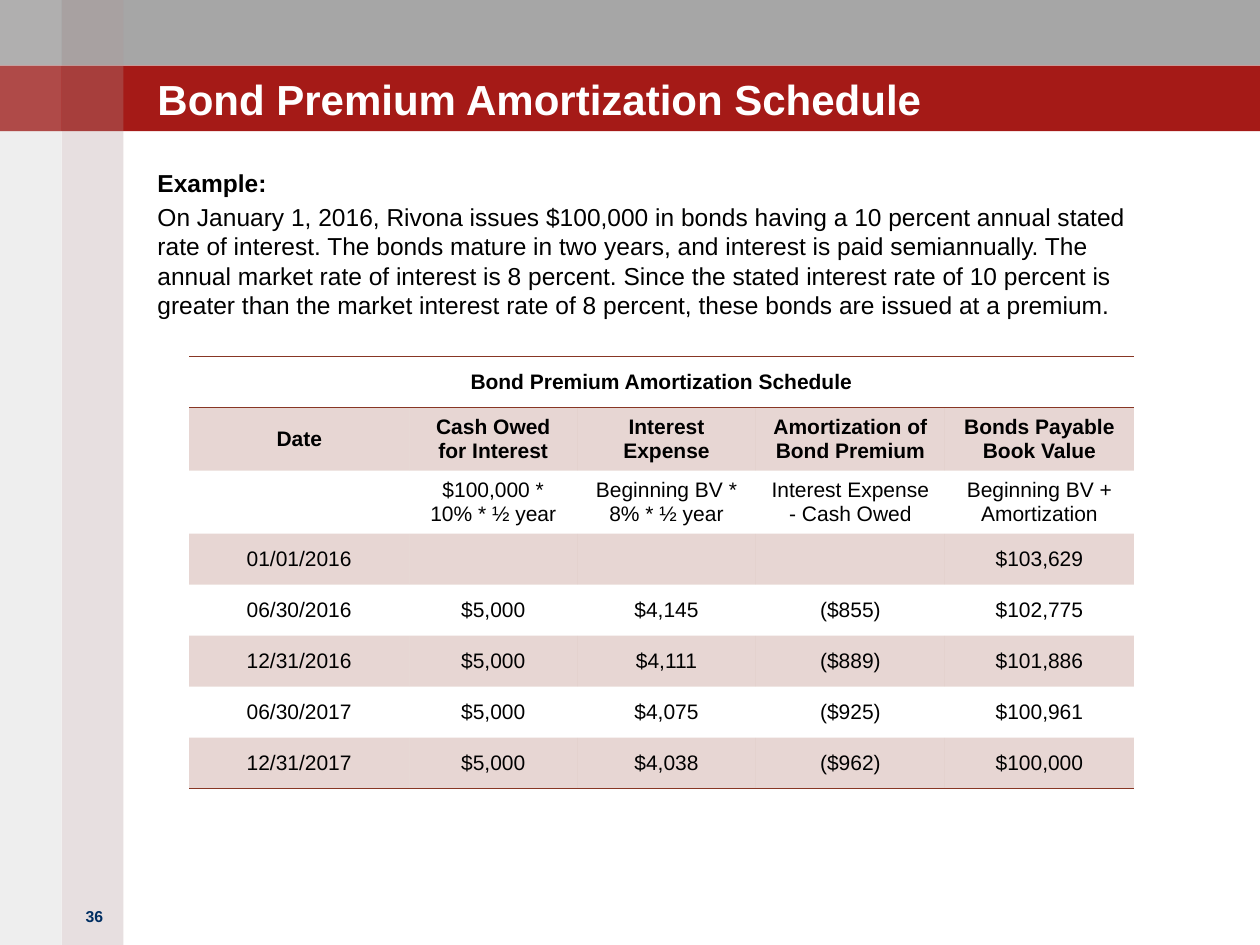
from dataclasses import dataclass

from lxml import etree
from pptx import Presentation
from pptx.dml.color import RGBColor
from pptx.enum.shapes import MSO_SHAPE
from pptx.enum.text import MSO_ANCHOR, PP_ALIGN
from pptx.oxml.ns import qn
from pptx.util import Inches, Pt

RECTANGLE = MSO_SHAPE.RECTANGLE
TOP, MIDDLE, BOTTOM = MSO_ANCHOR.TOP, MSO_ANCHOR.MIDDLE, MSO_ANCHOR.BOTTOM
LEFT, CENTER = PP_ALIGN.LEFT, PP_ALIGN.CENTER
PLAIN_TABLE_STYLE = "{2D5ABB26-0587-4C30-8999-92F81FD0307C}"


@dataclass(frozen=True)
class Theme:
    font: str = "Arial"
    gray: str = "A6A6A6"
    red: str = "A51A17"
    rose: str = "A08284"
    taupe: str = "938F8F"
    white: str = "FFFFFF"
    black: str = "000000"
    navy: str = "002E62"
    brown: str = "873624"
    title_size: int = 24
    body_size: int = 14
    table_size: int = 12
    number_size: int = 9


THEME = Theme()

BAND_HEIGHT = 0.52
STRIPE_WIDTH = 0.49
TITLE = "Bond Premium Amortization Schedule"
EXAMPLE = (
    "On January 1, 2016, Rivona issues $100,000 in bonds having a 10 percent "
    "annual stated rate of interest. The bonds mature in two years, and interest "
    "is paid semiannually. The annual market rate of interest is 8 percent. Since "
    "the stated interest rate of 10 percent is greater than the market interest "
    "rate of 8 percent, these bonds are issued at a premium."
)
SCHEDULE = [
    [TITLE, "", "", "", ""],
    ["Date", "Cash Owed for Interest", "Interest Expense",
     "Amortization of Bond Premium", "Bonds Payable Book Value"],
    ["", "$100,000 * 10% * ½ year", "Beginning BV * 8% * ½ year",
     "Interest Expense - Cash Owed", "Beginning BV + Amortization"],
    ["01/01/2016", "", "", "", "$103,629"],
    ["06/30/2016", "$5,000", "$4,145", "($855)", "$102,775"],
    ["12/31/2016", "$5,000", "$4,111", "($889)", "$101,886"],
    ["06/30/2017", "$5,000", "$4,075", "($925)", "$100,961"],
    ["12/31/2017", "$5,000", "$4,038", "($962)", "$100,000"],
]
COLUMN_WIDTHS = [1.75, 1.33, 1.42, 1.5, 1.5]
SCHEDULE_HEIGHT = 3.24
HEADING_ROWS = 2


def set_fill(fill, color, opacity=100):
    fill.solid()
    fill.fore_color.rgb = RGBColor.from_string(color)
    if opacity < 100:
        color_element = fill._xPr.find(qn("a:solidFill"))[0]
        etree.SubElement(color_element, qn("a:alpha"), val=str(opacity * 1000))


def add_block(slide, left, top, width, height, color, opacity=100):
    block = slide.shapes.add_shape(
        RECTANGLE, Inches(left), Inches(top), Inches(width), Inches(height))
    set_fill(block.fill, color, opacity)
    block.line.fill.background()
    block.shadow.inherit = False


def format_paragraph(paragraph, size, color, bold, align=LEFT):
    paragraph.alignment = align
    for run in paragraph.runs:
        run.font.name = THEME.font
        run.font.size = Pt(size)
        run.font.bold = bold
        run.font.color.rgb = RGBColor.from_string(color)


def add_text_frame(slide, left, top, width, height, text, anchor=TOP, inset=True):
    box = slide.shapes.add_textbox(
        Inches(left), Inches(top), Inches(width), Inches(height))
    frame = box.text_frame
    frame.word_wrap = True
    frame.vertical_anchor = anchor
    if not inset:
        frame.margin_left = frame.margin_right = 0
        frame.margin_top = frame.margin_bottom = 0
    frame.text = text
    return frame


def add_background(slide):
    """Two bands across the top, crossed by two translucent side stripes."""
    add_block(slide, 0, 0, 10, BAND_HEIGHT, THEME.gray)
    add_block(slide, 0, BAND_HEIGHT, 10, BAND_HEIGHT, THEME.red)
    stripes = [(STRIPE_WIDTH, THEME.rose, 25, 5), (0, THEME.taupe, 15, 15)]
    for left, color, opacity, _ in stripes:
        add_block(slide, left, 0, STRIPE_WIDTH, 7.5, color, opacity)
    for top in (0, BAND_HEIGHT):
        for left, _, _, highlight in stripes:
            add_block(slide, left, top, STRIPE_WIDTH, BAND_HEIGHT,
                      THEME.white, highlight)


def add_border(cell, side):
    """Rule one side of a cell: lnT or lnB. Call before filling the cell."""
    line = etree.SubElement(
        cell._tc.get_or_add_tcPr(), qn(f"a:{side}"), w=str(Pt(1)))
    fill = etree.SubElement(line, qn("a:solidFill"))
    etree.SubElement(fill, qn("a:srgbClr"), val=THEME.brown)


def add_schedule(slide):
    row_count = len(SCHEDULE)
    frame = slide.shapes.add_table(
        row_count, len(COLUMN_WIDTHS), Inches(1.5), Inches(2.83),
        Inches(sum(COLUMN_WIDTHS)), Inches(SCHEDULE_HEIGHT))
    schedule = frame.table
    schedule.first_row = schedule.horz_banding = False
    schedule._tbl.tblPr.find(qn("a:tableStyleId")).text = PLAIN_TABLE_STYLE
    for column, width in zip(schedule.columns, COLUMN_WIDTHS):
        column.width = Inches(width)
    for row_index, values in enumerate(SCHEDULE):
        for column_index, value in enumerate(values):
            cell = schedule.cell(row_index, column_index)
            cell.text = value
            cell.vertical_anchor = MIDDLE
            format_paragraph(cell.text_frame.paragraphs[0], THEME.table_size,
                             THEME.black, row_index < HEADING_ROWS, CENTER)
            if row_index == 0:
                add_border(cell, "lnT")
            if row_index in (0, row_count - 1):
                add_border(cell, "lnB")
            if row_index % 2:
                set_fill(cell.fill, THEME.brown, 20)
            else:
                cell.fill.background()
    schedule.cell(0, 0).merge(schedule.cell(0, len(COLUMN_WIDTHS) - 1))


def add_title(slide):
    title = add_text_frame(slide, 1.25, 0.31, 7.83, 0.67, TITLE, BOTTOM, inset=False)
    format_paragraph(title.paragraphs[0], THEME.title_size, THEME.white, True)


def add_example(slide):
    example = add_text_frame(
        slide, 1.25, 1.33, 8, 5.25, f"Example:\n{EXAMPLE}", inset=False)
    for paragraph, bold in zip(example.paragraphs, (True, False)):
        format_paragraph(paragraph, THEME.body_size, THEME.black, bold)
        paragraph.space_before = Pt(0.2 * THEME.body_size)


def add_page_number(slide):
    number = add_text_frame(slide, 0.5, 7.15, 0.5, 0.5, "36")
    format_paragraph(number.paragraphs[0], THEME.number_size, THEME.navy, True, CENTER)


def main():
    presentation = Presentation()
    presentation.slide_width = Inches(10)
    presentation.slide_height = Inches(7.5)
    slide = presentation.slides.add_slide(presentation.slide_layouts[6])
    add_background(slide)
    add_page_number(slide)
    add_title(slide)
    add_example(slide)
    add_schedule(slide)
    presentation.save("out.pptx")


if __name__ == "__main__":
    main()
